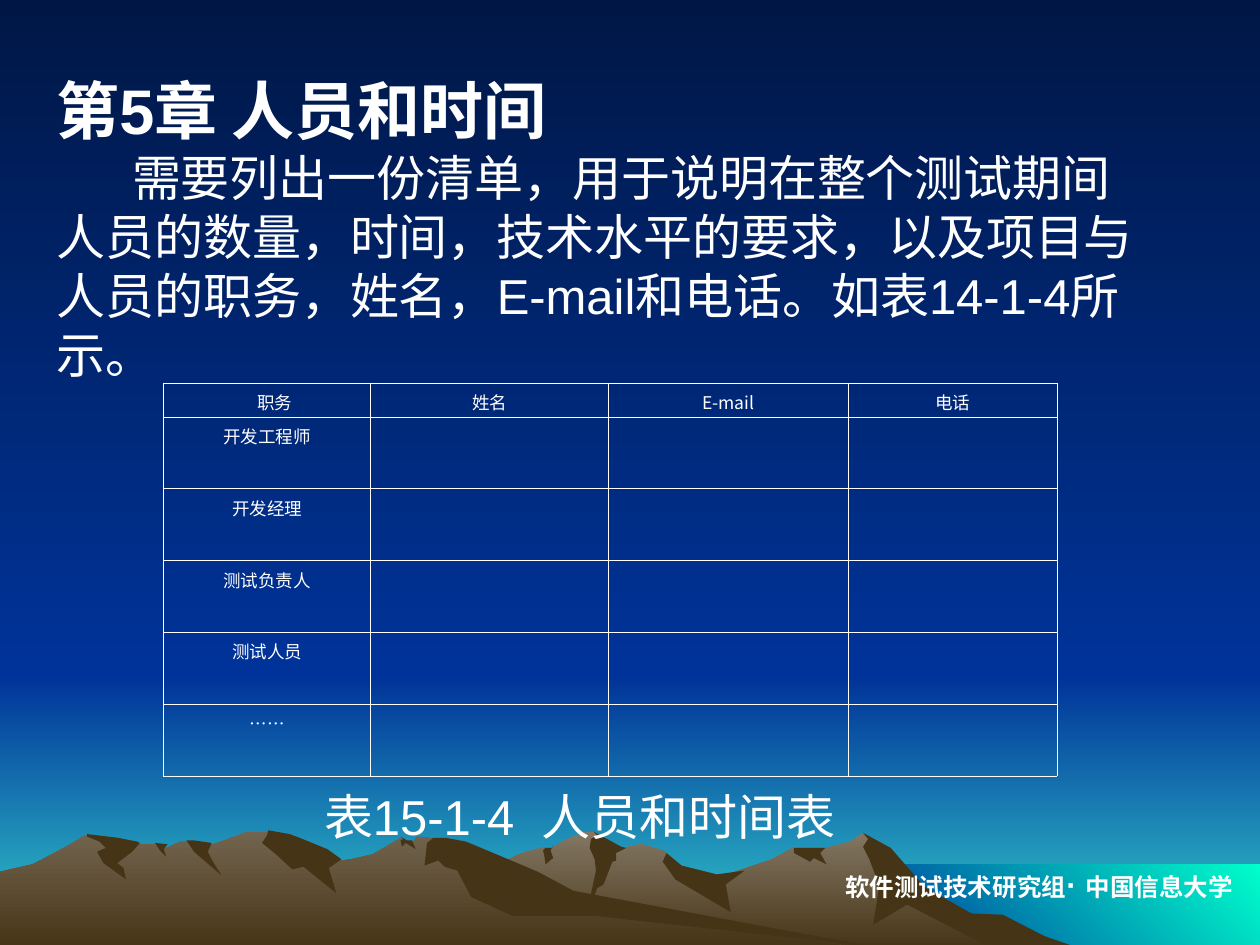
import pptx
import pptx.chart.data
import pptx.dml.color
import pptx.enum.text
import pptx.oxml
import pptx.oxml.ns
import pptx.util
from pptx.util import Inches

NIGHT, ROYAL, WHITE, SHADE = "001746", "003399", "FFFFFF", "463416"
CJK = "Noto Sans CJK SC"
ALIGN = pptx.enum.text.PP_ALIGN
ANCHOR = pptx.enum.text.MSO_ANCHOR

FAR_PEAKS = [
    (802, 82), (778, 69), (763, 66), (723, 40), (701, 14), (685, 2), (675, 9), (656, 14),
    (629, 14), (613, 23), (566, 39), (536, 32), (529, 18), (526, 16), (509, 11), (485, 16),
    (474, 3), (471, 1), (465, 1), (450, 7), (438, 14), (429, 14), (412, 19), (394, 28),
    (355, 40), (327, 52), (277, 81), (258, 94), (821, 94)]
FAR_SHADOWS = [
    [(796, 67), (771, 66), (734, 45), (707, 14), (685, 2), (689, 7), (685, 13), (690, 23),
     (698, 44), (693, 75), (720, 59), (788, 94), (858, 94), (829, 84)],
    [(471, 1), (474, 4), (469, 7), (468, 14), (472, 23), (473, 32), (465, 69), (474, 46),
     (479, 43), (486, 25), (489, 24), (489, 18), (497, 14), (493, 13)],
    [(529, 18), (526, 25), (536, 39), (580, 65), (576, 43), (591, 32), (569, 35), (541, 28)],
    [(649, 14), (630, 14), (630, 18), (643, 25), (646, 22), (656, 27), (651, 18), (655, 14)],
    [(432, 20), (431, 16), (433, 14), (438, 14), (439, 12), (437, 16), (439, 22), (433, 27)]]
NEAR_PEAKS = [
    (690, 94), (667, 91), (432, 55), (354, 7), (331, 5), (327, 10), (323, 10), (318, 6),
    (296, 19), (279, 23), (271, 24), (259, 19), (235, 23), (223, 5), (212, 1), (196, 1),
    (178, 8), (160, 14), (148, 9), (143, 9), (132, 14), (127, 14), (122, 11), (111, 11),
    (94, 14), (67, 4), (56, 11), (45, 17), (26, 27), (13, 30), (0, 33), (0, 94)]
NEAR_SHADOWS = [
    [(212, 4), (208, 10), (219, 19), (232, 31), (241, 29), (267, 50), (261, 30), (271, 23),
     (260, 15), (238, 6), (230, 3), (213, 0)],
    [(370, 9), (354, 6), (344, 6), (339, 10), (337, 28), (348, 24), (353, 29), (363, 32),
     (374, 53), (407, 68), (472, 68), (690, 92), (455, 48), (427, 33), (401, 22)],
    [(318, 8), (320, 7), (318, 5), (323, 8), (327, 8), (330, 15), (322, 10), (319, 13)],
    [(154, 8), (168, 10), (165, 17), (169, 25), (176, 36), (154, 17), (148, 8)],
    [(133, 11), (130, 15), (132, 21), (127, 16), (123, 10)],
    [(109, 9), (111, 10), (105, 17), (93, 26), (98, 30), (100, 39), (82, 26), (77, 17),
     (84, 14), (79, 9), (69, 5), (69, 3), (94, 6)]]

HEADINGS = ["职务", "姓名", "E-mail", "电话"]
ROLES = ["开发工程师", "开发经理", "测试负责人", "测试人员", "……"]


def rgb(value):
    """Turn a hex string into a colour."""
    return pptx.dml.color.RGBColor.from_string(value)


def paint(fill, colors, angle=90):
    """Fill with one colour, or with a gradient running clockwise from the x axis."""
    if isinstance(colors, str):
        fill.solid()
        fill.fore_color.rgb = rgb(colors)
        return
    fill.gradient()
    fill.gradient_angle = 360 - angle
    for stop, color in zip(fill.gradient_stops, colors):
        stop.color.rgb = rgb(color)


def style_run(r, size, font="Arial", bold=False):
    """Give a run its white type."""
    r.font.size, r.font.bold, r.font.name = pptx.util.Pt(size), bold, font
    r.font.color.rgb = rgb(WHITE)
    ea = pptx.oxml.parse_xml(f'<a:ea {pptx.oxml.ns.nsdecls("a")} typeface="{CJK}"/>')
    r.font._element.append(ea)


def add_text(s, box, anchor=ANCHOR.TOP, wrap=True):
    """Add an empty text box and return its frame."""
    tf = s.shapes.add_textbox(*map(Inches, box)).text_frame
    tf.word_wrap, tf.vertical_anchor = wrap, anchor
    return tf


def add_band(s, box, colors, angle=90):
    """Add a borderless rectangle with a gradient."""
    sp = s.shapes.add_shape(pptx.enum.shapes.MSO_SHAPE.RECTANGLE, *map(Inches, box))
    sp.shadow.inherit = False
    paint(sp.fill, colors, angle)
    sp.line.fill.background()


def add_outline(s, left, top, points, colors):
    """Add a closed outline given in hundredths of an inch from a corner."""
    builder = s.shapes.build_freeform(*points[0], scale=Inches(0.01))
    builder.add_line_segments(points[1:], close=True)
    sp = builder.convert_to_shape(Inches(left), Inches(top))
    sp.shadow.inherit = False
    paint(sp.fill, colors)
    sp.line.fill.background()


def add_sky(s, left, top, width, height):
    """Lay the night sky, the horizon and the bright corner."""
    horizon = top + 5.36
    add_band(s, (left, horizon, width, height - 5.36), (ROYAL, "33CCCC"))
    add_band(s, (left, top, width, 5.36), (NIGHT, ROYAL))
    add_band(s, (left + width - 3.17, top + 6.86, 3.17, height - 6.86), ("00FFCC", ROYAL), 135)


def add_mountains(s, left, top):
    """Draw the far and the near range with their shadows."""
    for peaks, light, shadows in ((FAR_PEAKS, "837763", FAR_SHADOWS),
                                  (NEAR_PEAKS, "72644E", NEAR_SHADOWS)):
        add_outline(s, left, top, peaks, (light, SHADE))
        for shadow in shadows:
            add_outline(s, left, top, shadow, SHADE)


def add_footer(s, box):
    """Write the group and the university."""
    p = add_text(s, box).paragraphs[0]
    p.space_before = pptx.util.Pt(8.8)
    for text, size in (("软件测试技术研究组", 14), ("· ", 18), ("中国信息大学", 14)):
        r = p.add_run()
        r.text = text
        style_run(r, size, bold=True)


def add_chapter(s, box):
    """Write the chapter heading and its paragraph."""
    tf = add_text(s, box, ANCHOR.MIDDLE)
    tf.text = ("第5章 人员和时间\n需要列出一份清单，用于说明在整个测试期间人员的数量，时间，"
               "技术水平的要求，以及项目与人员的职务，姓名，E-mail和电话。如表14-1-4所示。")
    heading, body = tf.paragraphs
    style_run(heading.runs[0], 36, bold=True)
    style_run(body.runs[0], 28)
    body._p.get_or_add_pPr().set("indent", str(Inches(0.6)))


def add_borders(cell):
    """Draw thin white lines on all sides of a cell."""
    tc_pr = cell._tc.get_or_add_tcPr()
    for index, side in enumerate(("lnL", "lnR", "lnT", "lnB")):
        tc_pr.insert(index, pptx.oxml.parse_xml(
            f'<a:{side} {pptx.oxml.ns.nsdecls("a")} w="{pptx.util.Pt(0.45)}"><a:solidFill>'
            f'<a:srgbClr val="{WHITE}"/></a:solidFill></a:{side}>'))


def add_staff_table(s, box):
    """Add the staff table with one row for each role."""
    rows = [HEADINGS] + [[role, "", "", ""] for role in ROLES]
    table = s.shapes.add_table(len(rows), len(HEADINGS), *map(Inches, box)).table
    table.first_row = table.horz_banding = False
    for column, width in zip(table.columns, (1.64, 1.89, 1.9, 1.66)):
        column.width = Inches(width)
    for i, texts in enumerate(rows):
        table.rows[i].height = Inches(0.57 if i else 0.27)
        for cell, text in zip(table.rows[i].cells, texts):
            cell.fill.background()
            add_borders(cell)
            if text:
                cell.text = text
                p = cell.text_frame.paragraphs[0]
                p.alignment = ALIGN.CENTER
                style_run(p.runs[0], 10, CJK)
    first = table.cell(0, 0).text_frame.paragraphs[0]
    first._p.get_or_add_pPr().set("marL", str(Inches(0.12)))


def add_caption(s, box):
    """Write the table caption."""
    tf = add_text(s, box, ANCHOR.MIDDLE, wrap=False)
    tf.text = "表15-1-4  人员和时间表"
    tf.paragraphs[0].alignment = ALIGN.CENTER
    style_run(tf.paragraphs[0].runs[0], 28)


def main():
    """Build the slide and save it."""
    prs = pptx.Presentation()
    prs.slide_width, prs.slide_height = Inches(10), Inches(7.5)
    s = prs.slides.add_slide(prs.slide_layouts[6])
    paint(s.background.fill, (NIGHT, ROYAL))
    add_sky(s, 0, 0, 10, 7.52)
    add_mountains(s, 0, 6.59)
    add_footer(s, (6.61, 6.82, 3.39, 0.4))
    add_chapter(s, (0.35, 0.52, 8.94, 2.57))
    add_staff_table(s, (1.3, 3.04, 7.09, 3.12))
    add_caption(s, (2.38, 6.19, 4.44, 0.57))
    prs.save("out.pptx")


if __name__ == "__main__":
    main()
